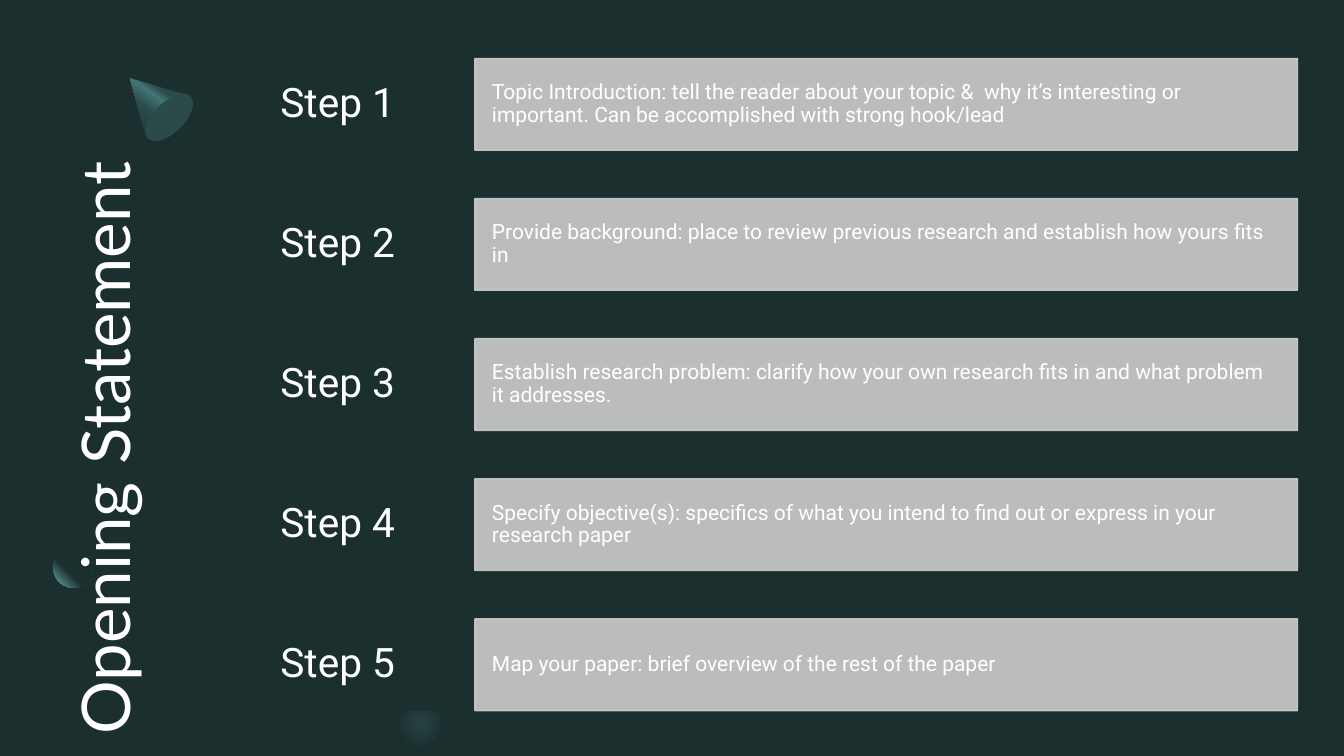
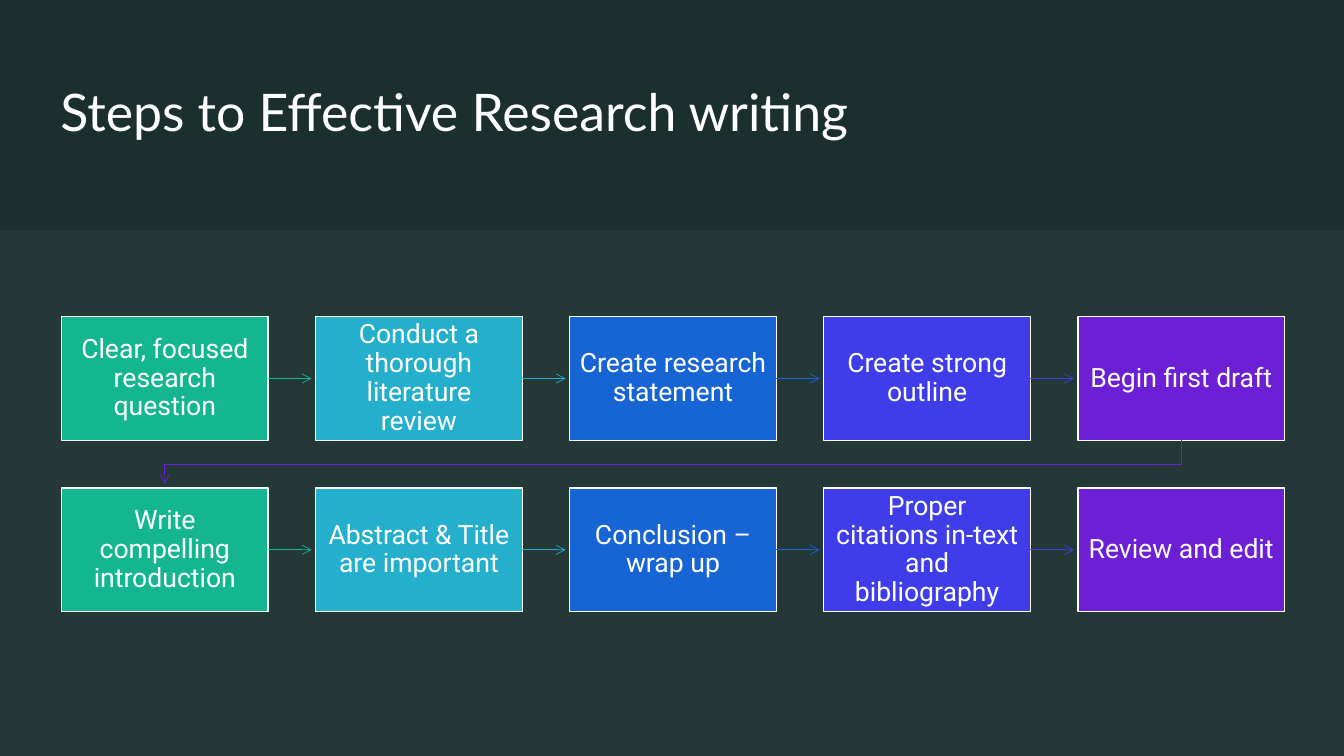
"""Build two slides on research writing, sharing one dark theme."""
from pptx import Presentation
from pptx.dml.color import RGBColor as RGB
from pptx.enum.shapes import MSO_CONNECTOR as Conn, MSO_SHAPE as Form
from pptx.enum.text import MSO_ANCHOR as Anchor, PP_ALIGN as Align
from pptx.oxml import parse_xml
from pptx.oxml.ns import nsdecls
from pptx.oxml.xmlchemy import OxmlElement as Node
from pptx.util import Inches, Pt

DARK, WHITE, GREY, MIST = "1B2F2F", "FFFFFF", "CDCDCD", "E3EFEF"
TEAL, DEEP, PALE = "437474", "2B4B4B", "75AFAF"
HUES = ["14B68F", "24AFCD", "1764D5", "3F3DE9", "6D1FD6"]
HEAD, BODY = "Lato", "Roboto"

STEPS = [
    "Topic Introduction: tell the reader about your topic &  why it’s interesting or important. "
    "Can be accomplished with strong hook/lead",
    "Provide background: place to review previous research and establish how yours fits in",
    "Establish research problem: clarify how your own research fits in and what problem it addresses.",
    "Specify objective(s): specifics of what you intend to find out or express in your research paper",
    "Map your paper: brief overview of the rest of the paper",
]
FLOW = [
    ["Clear, focused research question", "Conduct a thorough literature review",
     "Create research statement", "Create strong outline", "Begin first draft"],
    ["Write compelling introduction", "Abstract & Title are important",
     "Conclusion – wrap up", "Proper citations in-text and bibliography", "Review and edit"],
]


def color(code):
    """Turn a hex string into a colour."""
    return RGB.from_string(code)


def paint(shape, fill, line=None, alpha=None):
    """Set fill, outline and opacity, with no shadow."""
    shape.shadow.inherit = False
    shape.fill.solid()
    shape.fill.fore_color.rgb = color(fill)
    if line:
        shape.line.color.rgb = color(line)
        shape.line.width = Pt(1)
    else:
        shape.line.fill.background()
    if alpha:
        for tint in shape.element.spPr.xpath(f".//a:srgbClr[@val='{fill}']"):
            node = Node("a:alpha")
            node.set("val", str(alpha * 1000))
            tint.append(node)


def blend(shape, stops, mode):
    """Swap a solid fill for a gradient of (percent, colour) stops."""
    marks = "".join(f'<a:gs pos="{pos * 1000}"><a:srgbClr val="{code}"/></a:gs>' for pos, code in stops)
    grad = parse_xml(f'<a:gradFill {nsdecls("a")} rotWithShape="1"><a:gsLst>{marks}</a:gsLst>{mode}</a:gradFill>')
    props = shape.element.spPr
    props.replace(props.xpath("./a:solidFill")[0], grad)


def glow(left, top, right, low):
    """Give the XML of a round gradient with its focus at the given edges."""
    return (f'<a:path path="circle"><a:fillToRect l="{left}000" t="{top}000" '
            f'r="{right}000" b="{low}000"/></a:path>')


def write(shape, text, size, font=BODY, align=Align.LEFT, pad=(0, 0), space=0.9):
    """Put one formatted paragraph into a shape."""
    frame = shape.text_frame
    frame.word_wrap = True
    frame.vertical_anchor = Anchor.MIDDLE
    frame.margin_left = frame.margin_right = Inches(pad[0])
    frame.margin_top = frame.margin_bottom = Inches(pad[1])
    para = frame.paragraphs[0]
    para.alignment = align
    para.line_spacing = space
    run = para.add_run()
    run.text = text
    run.font.name = font
    run.font.size = Pt(size)
    run.font.color.rgb = color(WHITE)


def block(slide, at, fill, form=Form.RECTANGLE, **style):
    """Add a painted preset shape."""
    shape = slide.shapes.add_shape(form, *map(Inches, at))
    paint(shape, fill, **style)
    return shape


def title(slide, text, at, size, turn=0, space=0.9):
    """Add the slide title."""
    box = slide.shapes.add_textbox(*map(Inches, at))
    box.rotation = turn
    write(box, text, size, font=HEAD, space=space)


def trace(slide, points, close):
    """Add a freeform through points given in inches."""
    dots = [(Inches(x), Inches(y)) for x, y in points]
    pen = slide.shapes.build_freeform(*dots[0])
    pen.add_line_segments(dots[1:], close=close)
    return pen.convert_to_shape()


def point(line, code):
    """Style a line as a thin arrow."""
    line.line.color.rgb = color(code)
    line.line.width = Pt(0.5)
    tail = Node("a:tailEnd")
    tail.set("type", "arrow")
    line.line._get_or_add_ln().append(tail)


def arrow(slide, box, x, y, code):
    """Run an arrow from a box's right side to a point."""
    link = slide.shapes.add_connector(Conn.STRAIGHT, box.left + box.width, Inches(y), Inches(x), Inches(y))
    link.begin_connect(box, 3)
    point(link, code)
    link.element.spPr.append(Node("a:effectLst"))


def bend(slide, points, code):
    """Add an arrow that turns at each point."""
    line = trace(slide, points, False)
    line.shadow.inherit = False
    line.fill.background()
    point(line, code)


def decor(slide):
    """Draw the cone, the ball and the faint spot."""
    cone = trace(slide, [(1.29, 0.78), (1.85, 0.94), (1.88, 0.96), (1.47, 1.38), (1.45, 1.35)], True)
    paint(cone, DEEP)
    blend(cone, [(30, DEEP), (40, TEAL), (60, DEEP), (100, DARK)], '<a:lin ang="7500000" scaled="0"/>')
    base = block(slide, (1.53, 0.87, 0.3, 0.59), DEEP, Form.OVAL)
    base.rotation = 45
    ball = block(slide, (0.53, 5.44, 0.39, 0.39), DARK, Form.OVAL)
    blend(ball, [(60, DARK), (100, PALE)], glow(100, 0, 0, 100))
    spot = block(slide, (3.97, 6.95, 0.4, 0.45), DARK, Form.OVAL)
    blend(spot, [(0, "264040"), (100, DARK)], glow(50, 50, 50, 50))


def opening(slide):
    """Build the list of five steps."""
    decor(slide)
    title(slide, "Opening Statement", (-2.51, 3.34, 7.07, 0.82), 48, turn=270, space=1)
    high = 0.91
    for num, text in enumerate(STEPS):
        top = 0.58 + 1.39 * num
        label = block(slide, (1.99, top, 2.72, high), DARK, line=DARK)
        write(label, f"Step {num + 1}", 29, align=Align.CENTER, pad=(0.19, 0.23))
        bar = block(slide, (4.71, top, 8.16, high), GREY, line=GREY, alpha=90)
        write(bar, text, 15, pad=(0.17, 0.21))


def process(slide):
    """Build the flow of ten boxes in two rows."""
    title(slide, "Steps to Effective Research writing", (0.6, 0.6, 7.99, 1.08), 37)
    block(slide, (0, 2.28, 13.33, 5.22), MIST, alpha=5)
    left, top, wide, high, step, drop = 0.61, 3.14, 2.05, 1.23, 2.52, 1.7
    last = len(HUES) - 1
    for row, texts in enumerate(FLOW):
        y = top + drop * row
        for col, (text, hue) in enumerate(zip(texts, HUES)):
            x = left + step * col
            box = block(slide, (x, y, wide, high), hue, line=WHITE)
            write(box, text, 19, align=Align.CENTER, pad=(0.1, 0.11))
            if col < last:
                arrow(slide, box, x + step - 0.04, y + high / 2, hue)
    start, end = left + step * last + wide / 2, left + wide / 2
    foot, turn = top + high, top + (high + drop) / 2
    bend(slide, [(start, foot), (start, turn), (end, turn), (end, top + drop - 0.04)], HUES[-1])


def main():
    """Make the deck and save it."""
    deck = Presentation()
    deck.slide_width, deck.slide_height = Inches(13.33), Inches(7.5)
    for build in (opening, process):
        slide = deck.slides.add_slide(deck.slide_layouts[6])
        back = slide.background.fill
        back.solid()
        back.fore_color.rgb = color(DARK)
        build(slide)
    deck.save("out.pptx")


if __name__ == "__main__":
    main()
